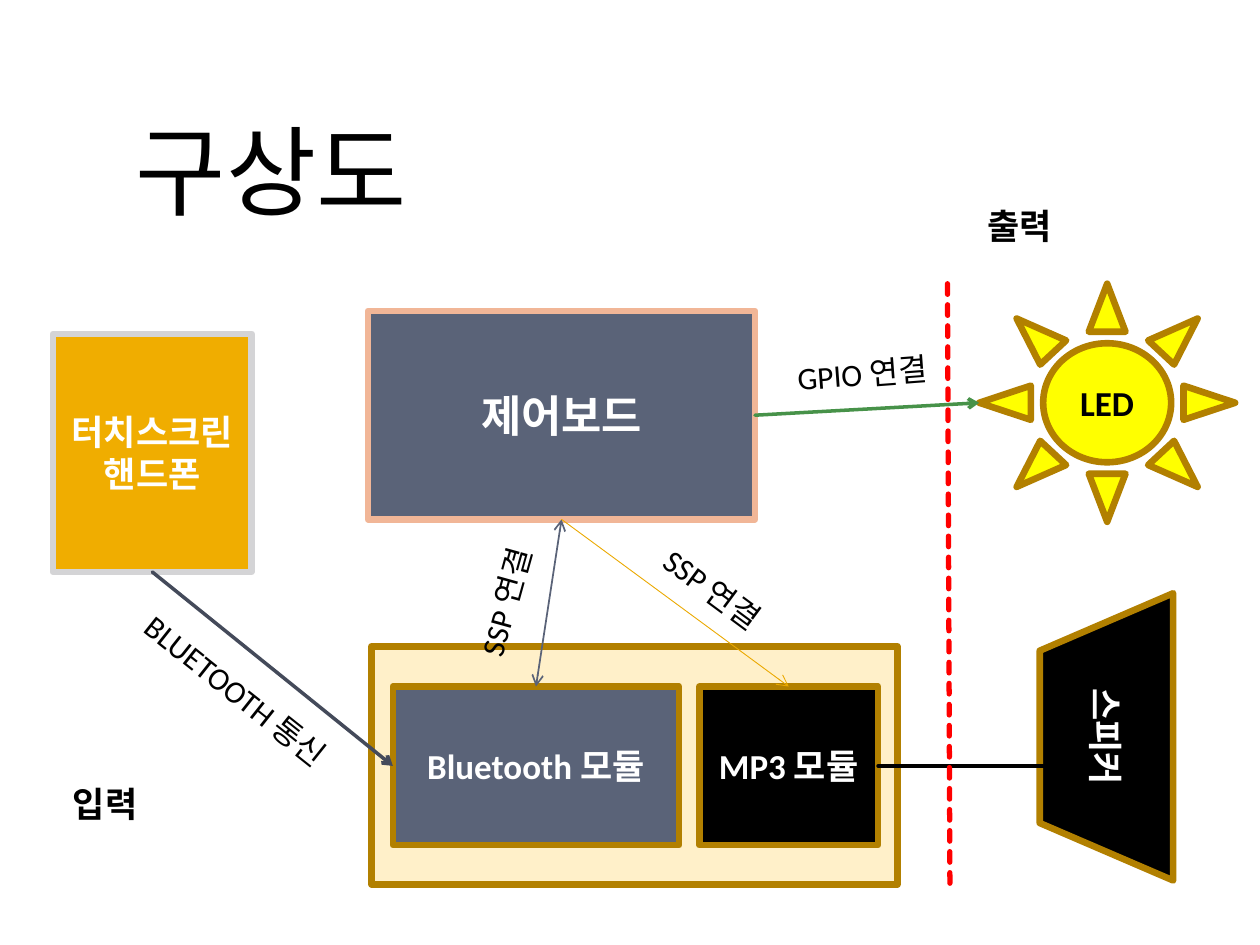
from lxml import etree
from pptx import Presentation
from pptx.dml.color import RGBColor
from pptx.enum.dml import MSO_LINE
from pptx.enum.shapes import MSO_CONNECTOR, MSO_SHAPE
from pptx.enum.text import MSO_ANCHOR, MSO_AUTO_SIZE, PP_ALIGN
from pptx.oxml.ns import qn
from pptx.util import Cm, Pt

RECTANGLE = MSO_SHAPE.RECTANGLE
SUN = MSO_SHAPE.SUN
TRAPEZOID = MSO_SHAPE.FLOWCHART_MANUAL_OPERATION
STRAIGHT = MSO_CONNECTOR.STRAIGHT
DASHED = MSO_LINE.SQUARE_DOT
CENTER = PP_ALIGN.CENTER
MIDDLE = MSO_ANCHOR.MIDDLE
GROW = MSO_AUTO_SIZE.SHAPE_TO_FIT_TEXT
TOP, LEFT, BOTTOM, RIGHT = range(4)

BLACK = RGBColor(0x00, 0x00, 0x00)
WHITE = RGBColor(0xFF, 0xFF, 0xFF)
SLATE = RGBColor(0x5A, 0x63, 0x78)
DARK_SLATE = RGBColor(0x44, 0x4A, 0x5A)
AMBER = RGBColor(0xF0, 0xAD, 0x00)
DEEP_AMBER = RGBColor(0xEB, 0xA9, 0x00)
BRONZE = RGBColor(0xB2, 0x80, 0x00)
CREAM = RGBColor(0xFF, 0xF0, 0xC9)
PEACH = RGBColor(0xF1, 0xB6, 0x97)
SILVER = RGBColor(0xD4, 0xD4, 0xD6)
YELLOW = RGBColor(0xFF, 0xFF, 0x00)
GREEN = RGBColor(0x47, 0x92, 0x49)
RED = RGBColor(0xFF, 0x00, 0x00)

LATIN_FONT = "Calibri"
KOREAN_FONT = "Noto Sans CJK KR"


def write_text(frame, text, size=20, color=WHITE, bold=True, font=LATIN_FONT, align=None):
    """Fill a text frame, one paragraph for each line of text."""
    for index, line in enumerate(text.split("\n")):
        para = frame.add_paragraph() if index else frame.paragraphs[0]
        para.alignment = align
        span = para.add_run()
        span.text = line
        span.font.size = Pt(size)
        span.font.bold = bold
        span.font.name = font
        span.font.color.rgb = color
        east_asian = etree.SubElement(span.font._element, qn("a:ea"))
        east_asian.set("typeface", KOREAN_FONT)


class Diagram:
    """Holds the page and the shared look of its elements."""

    border_width = 3.78

    def __init__(self, page):
        self.page = page

    def block(self, place, fill, text="", kind=RECTANGLE, border=BRONZE,
              rotation=0, parent=None, **text_format):
        shapes = (parent or self.page).shapes
        shape = shapes.add_shape(kind, *map(Cm, place))
        shape.shadow.inherit = False
        shape.rotation = rotation
        shape.fill.solid()
        shape.fill.fore_color.rgb = fill
        self.style_line(shape.line, border, self.border_width)
        shape.text_frame.word_wrap = True
        shape.text_frame.vertical_anchor = MIDDLE
        if text:
            write_text(shape.text_frame, text, align=CENTER, **text_format)
        return shape

    def label(self, place, text, rotation=0, wrap=False, **text_format):
        box = self.page.shapes.add_textbox(*map(Cm, place))
        box.rotation = rotation
        box.text_frame.word_wrap = wrap
        box.text_frame.auto_size = GROW
        write_text(box.text_frame, text, **text_format)

    def link(self, color, width, start=(0, 0), end=(0, 0), begin_at=None,
             end_at=None, dash=None, arrows=("tailEnd",)):
        """Draw a line; begin_at and end_at are (shape, side) pairs to join."""
        line = self.page.shapes.add_connector(STRAIGHT, *map(Cm, (*start, *end)))
        if begin_at:
            line.begin_connect(*begin_at)
        if end_at:
            line.end_connect(*end_at)
        etree.SubElement(line._element.spPr, qn("a:effectLst"))
        self.style_line(line.line, color, width, dash, arrows)

    def style_line(self, line, color, width, dash=None, arrows=()):
        line.color.rgb = color
        line.width = Pt(width)
        if dash:
            line.dash_style = dash
        outline = line._get_or_add_ln()
        outline.set("cap", "rnd")
        etree.SubElement(outline, qn("a:round"))
        for arrow in arrows:
            etree.SubElement(outline, qn(f"a:{arrow}")).set("type", "arrow")


def main():
    deck = Presentation()
    deck.slide_width, deck.slide_height = Cm(25.4), Cm(19.05)
    page = deck.slides.add_slide(deck.slide_layouts[6])
    diagram = Diagram(page)

    diagram.label((2.49, 2.11, 6.5, 2.64), "구상도", size=56, color=BLACK,
                  bold=False, font=KOREAN_FONT)

    board = diagram.block((7.42, 6.27, 7.8, 4.2), SLATE, "제어보드", border=PEACH, size=25)
    phone = diagram.block((1.07, 6.73, 4, 4.8), AMBER, "터치스크린\n핸드폰", border=SILVER)

    modules = page.shapes.add_group_shape()
    diagram.block((7.49, 13.03, 10.6, 4.8), CREAM, parent=modules)
    bluetooth = diagram.block((7.92, 13.84, 5.77, 3.2), SLATE, "Bluetooth 모듈", parent=modules)
    mp3 = diagram.block((14.1, 13.84, 3.6, 3.2), BLACK, "MP3 모듈", parent=modules)

    diagram.block((19.41, 13.51, 5.79, 2.69), BLACK, "스피커", kind=TRAPEZOID, rotation=90)
    led = diagram.block((19.74, 5.72, 5.16, 4.8), YELLOW, "LED", kind=SUN, color=BLACK)

    diagram.link(SLATE, 1, begin_at=(board, BOTTOM), end_at=(bluetooth, TOP),
                 arrows=("headEnd", "tailEnd"))
    diagram.link(DEEP_AMBER, 0.5, begin_at=(board, BOTTOM), end_at=(mp3, TOP))
    diagram.link(GREEN, 2, begin_at=(board, RIGHT), end_at=(led, LEFT))
    diagram.link(BLACK, 2, end=(21.84, 15.44), begin_at=(mp3, RIGHT))
    diagram.link(RED, 3, start=(19.1, 5.72), end=(19.15, 17.83), dash=DASHED, arrows=())
    diagram.link(DARK_SLATE, 2, begin_at=(phone, BOTTOM), end_at=(bluetooth, LEFT))

    for left, top, text in ((19.66, 3.99, "출력"), (1.22, 15.65, "입력")):
        diagram.label((left, top, 2.57, 1.12), text, wrap=True, color=BLACK, font=KOREAN_FONT)

    for left, top, width, rotation, text in (
        (2.24, 13.54, 5.36, 38.5, "BLUETOOTH 통신"),
        (15.82, 7.01, 3.3, 355.7, "GPIO 연결"),
        (8.74, 11.51, 2.95, 285.5, "SSP 연결"),
        (12.98, 11.43, 2.95, 36.5, "SSP 연결"),
    ):
        diagram.label((left, top, width, 1.02), text, rotation=rotation,
                      size=18, color=BLACK, bold=False)

    deck.save("out.pptx")


if __name__ == "__main__":
    main()
